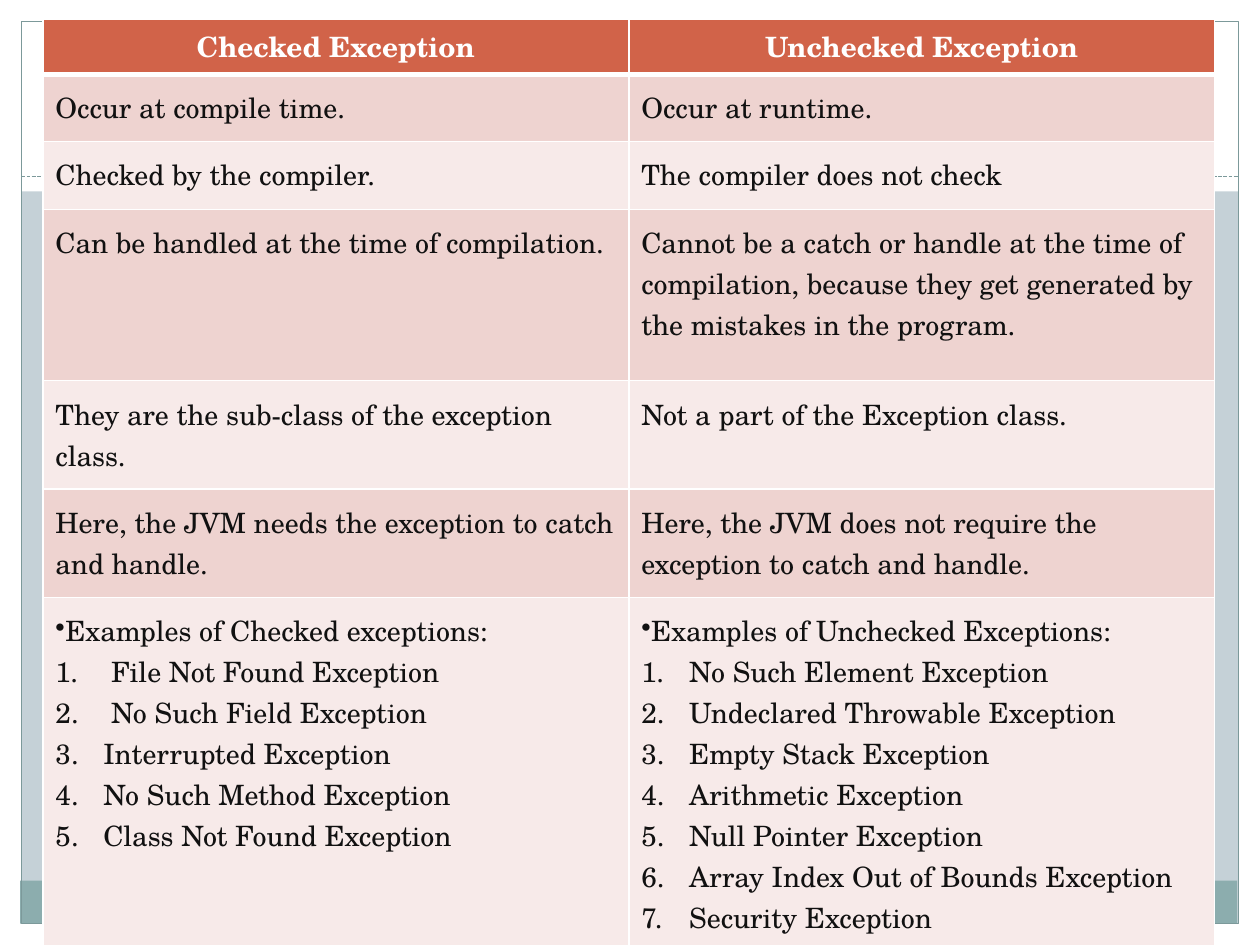
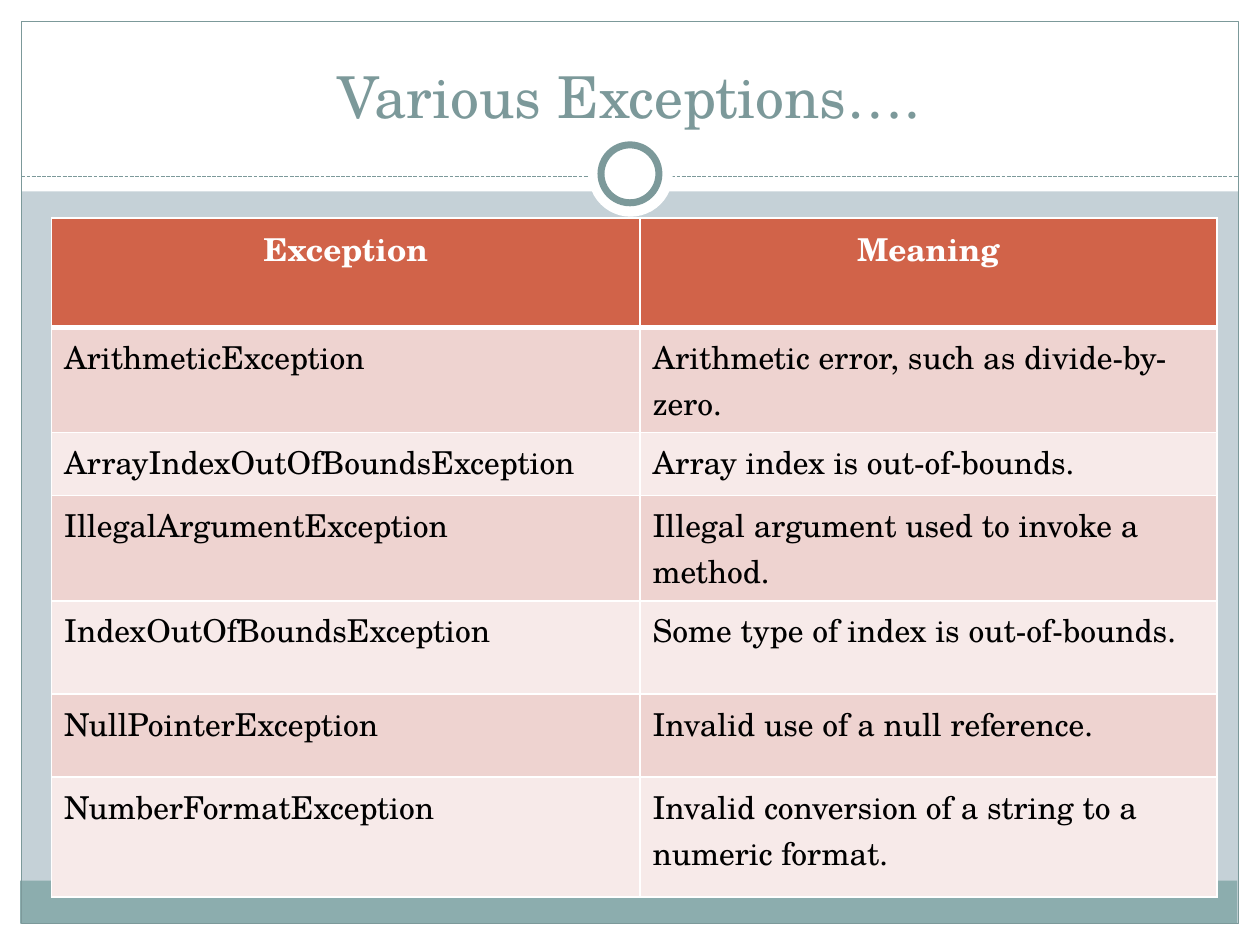
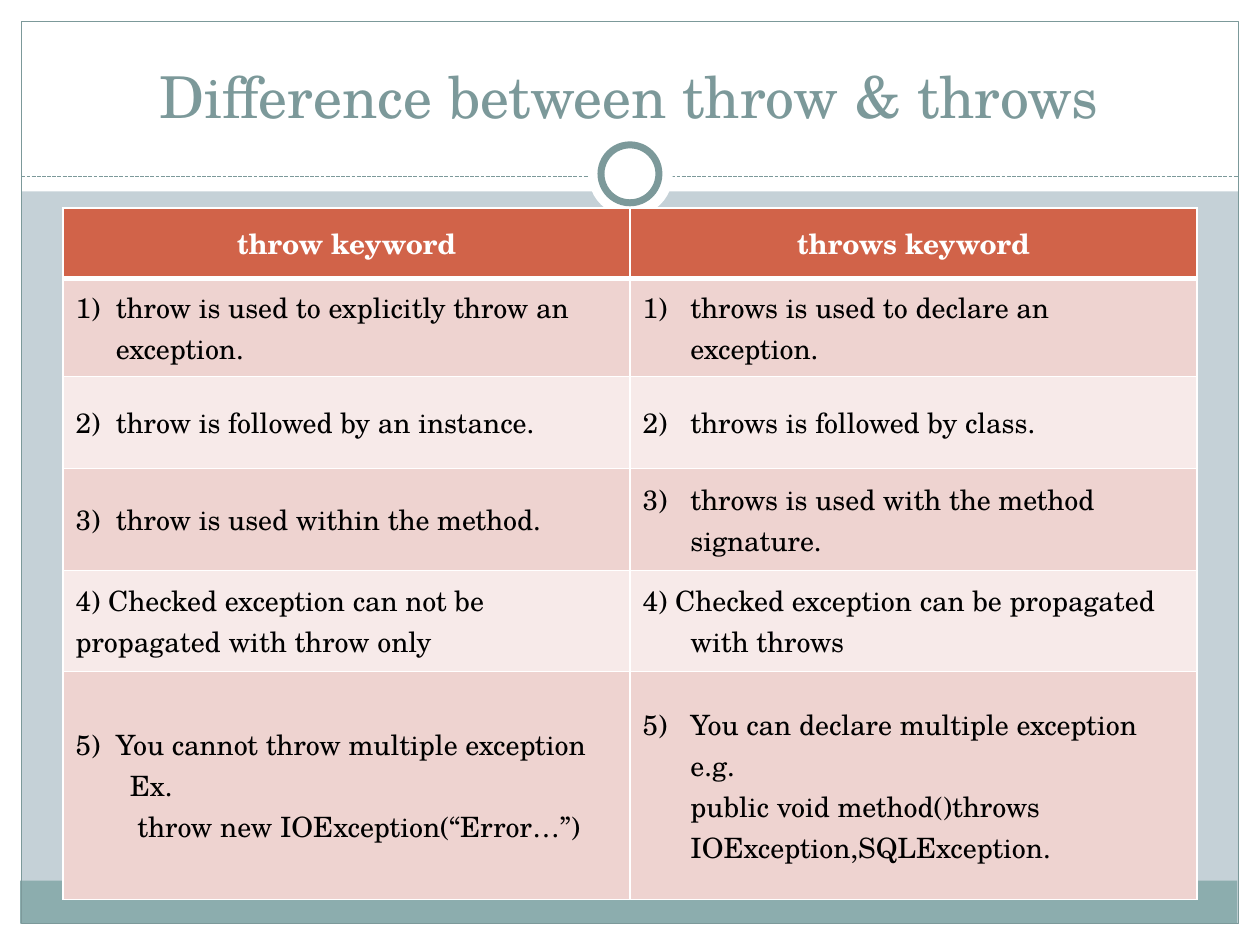
from lxml import etree
from pptx import Presentation
from pptx.dml.color import RGBColor
from pptx.enum.dml import MSO_LINE
from pptx.enum.shapes import MSO_CONNECTOR, MSO_SHAPE
from pptx.enum.text import MSO_ANCHOR, MSO_AUTO_SIZE, PP_ALIGN
from pptx.oxml.ns import qn
from pptx.util import Inches, Pt

RECT, OVAL = MSO_SHAPE.RECTANGLE, MSO_SHAPE.OVAL
STRAIGHT, SYS_DASH = MSO_CONNECTOR.STRAIGHT, MSO_LINE.SQUARE_DOT
TOP, MIDDLE, BOTTOM = MSO_ANCHOR.TOP, MSO_ANCHOR.MIDDLE, MSO_ANCHOR.BOTTOM
LEFT, CENTER = PP_ALIGN.LEFT, PP_ALIGN.CENTER
NO_FIT = MSO_AUTO_SIZE.NONE
TITLE_ONLY, BLANK = 5, 6

THEME = {
    "font": "TeX Gyre Schola",
    "title_size": 33,
    "white": "FFFFFF",
    "page": "C5D1D7",
    "band": "8CADAE",
    "accent": "7C999A",
    "header": "D16349",
    "stripes": ("EED3D0", "F7EAE9"),
}

STYLES = {
    "plain": {},
    "bullet": {"bullet": ("buChar", {"char": "•"})},
    "number": {"left": 0.38, "indent": -0.38, "bullet": ("buAutoNum", {"type": "arabicPeriod"})},
    "paren": {"left": 0.38, "indent": -0.38, "bullet": ("buAutoNum", {"type": "arabicParenR"})},
    "hang": {"left": 0.38, "indent": -0.38},
    "tight": {"left": 0.32, "indent": -0.32},
    "example": {"left": 0.43},
    "code": {"left": 0.49},
}

CHECKED = [" File Not Found Exception", " No Such Field Exception", "Interrupted Exception",
           "No Such Method Exception", "Class Not Found Exception"]
UNCHECKED = ["No Such Element Exception", "Undeclared Throwable Exception", "Empty Stack Exception",
             "Arithmetic Exception", "Null Pointer Exception",
             "Array Index Out of Bounds Exception", "Security Exception"]

SLIDES = [
    {
        "title": None, "at": (0.34, 0.15), "cols": (4.65, 4.65),
        "heights": (0.44, 0.53, 0.54, 1.36, 0.86, 0.86, 2.7),
        "size": 16, "color": "111111", "anchor": TOP, "pad": 0.1,
        "rows": [
            ("Checked Exception", "Unchecked Exception"),
            ("Occur at compile time.", "Occur at runtime."),
            ("Checked by the compiler.", "The compiler does not check"),
            ("Can be handled at the time of compilation.",
             "Cannot be a catch or handle at the time of compilation, because they get "
             "generated by the mistakes in the program."),
            ("They are the sub-class of the exception class.", "Not a part of the Exception class."),
            ("Here, the JVM needs the exception to catch and handle.",
             "Here, the JVM does not require the exception to catch and handle."),
            ([("Examples of Checked exceptions:", "bullet")] + [(t, "number") for t in CHECKED],
             [("Examples of Unchecked Exceptions:", "bullet")] + [(t, "number") for t in UNCHECKED]),
        ],
    },
    {
        "title": "Various Exceptions….", "at": (0.41, 1.73), "cols": (4.67, 4.58),
        "heights": (0.87, 0.74, 0.5, 0.74, 0.74, 0.66, 0.95),
        "size": 18, "color": "000000", "anchor": TOP, "pad": 0.05,
        "rows": [
            ("Exception", "Meaning"),
            ("ArithmeticException", "Arithmetic error, such as divide-by-zero."),
            ("ArrayIndexOutOfBoundsException", "Array index is out-of-bounds."),
            ("IllegalArgumentException", "Illegal argument used to invoke a method."),
            ("IndexOutOfBoundsException", "Some type of index is out-of-bounds."),
            ("NullPointerException", "Invalid use of a null reference."),
            ("NumberFormatException", "Invalid conversion of a string to a numeric format."),
        ],
    },
    {
        "title": "Difference between throw & throws", "at": (0.5, 1.65), "cols": (4.5, 4.5),
        "heights": (0.56, 0.78, 0.73, 0.81, 0.8, 1.81),
        "size": 16, "color": "000000", "anchor": MIDDLE, "pad": 0.05,
        "rows": [
            ("throw keyword", "throws keyword"),
            ([("1)\tthrow is used to explicitly throw an exception.", "tight")],
             [("throws is used to declare an exception.", "paren")]),
            ([("2)\tthrow is followed by an instance.", "tight")],
             [("2)\tthrows is followed by class.", "hang")]),
            ([("3)\tthrow is used within the method.", "tight")],
             [("3)\tthrows is used with the method signature.", "hang")]),
            ("4) Checked exception can not be propagated with throw only",
             [("4) Checked exception can be propagated with throws", "hang")]),
            ([("5)\tYou cannot throw multiple exception", "tight"), ("Ex.", "example"),
              ("throw new IOException(“Error…”)", "code")],
             [("5)\tYou can declare multiple exception e.g.\v"
               "public void method()throws IOException,SQLException.", "hang")]),
        ],
    },
]


def format_paragraph(p, text, size, color, bold=False, align=LEFT, style="plain"):
    p.text = text
    p.alignment = align
    font = {"name": THEME["font"], "size": Pt(size), "bold": bold}
    for r in p.runs:
        for name, value in font.items():
            setattr(r.font, name, value)
        r.font.color.rgb = RGBColor.from_string(color)
    for br in p._p.findall(qn("a:br")):
        etree.SubElement(br, qn("a:rPr"), sz=str(size * 100))
    look = STYLES[style]
    pPr = p._p.get_or_add_pPr()
    pPr.set("marL", str(Inches(look.get("left", 0))))
    pPr.set("indent", str(Inches(look.get("indent", 0))))
    tag, attrs = look.get("bullet", ("buNone", {}))
    etree.SubElement(pPr, qn("a:" + tag), attrs)


def add_border(cell, side, width):
    tcPr = cell._tc.get_or_add_tcPr()
    ln = etree.SubElement(tcPr, qn("a:ln" + side), w=str(Pt(width)))
    fill = etree.SubElement(ln, qn("a:solidFill"))
    etree.SubElement(fill, qn("a:srgbClr"), val=THEME["white"])


prs = Presentation()
prs.slide_width, prs.slide_height = Inches(10), Inches(7.5)
master = prs.slide_master
master.background.fill.solid()
master.background.fill.fore_color.rgb = RGBColor.from_string(THEME["page"])

slides = [prs.slides.add_slide(prs.slide_layouts[TITLE_ONLY if d["title"] else BLANK])
          for d in SLIDES]

FRAME = [
    (RECT, (0, 7.33, 10, 0.17), "white", None),
    (RECT, (0, 0, 10, 1.52), "white", None),
    (RECT, (0, 0, 0.17, 7.5), "white", None),
    (RECT, (9.83, 0, 0.17, 7.5), "white", None),
    (RECT, (0.16, 6.99, 9.66, 0.34), "band", None),
    (RECT, (0.17, 0.17, 9.66, 7.16), None, 0.75),
    (STRAIGHT, (0.17, 1.4, 9.83, 1.4), None, 0.75),
    (OVAL, (4.67, 1.05, 0.67, 0.67), "white", None),
    (OVAL, (4.77, 1.15, 0.46, 0.46), "white", 4),
]
for i, (kind, box, fill, width) in enumerate(FRAME):
    box = [Inches(v) for v in box]
    if kind is STRAIGHT:
        sp = slides[0].shapes.add_connector(kind, *box)
        sp.line.dash_style = SYS_DASH
    else:
        sp = slides[0].shapes.add_shape(kind, *box)
        sp.shadow.inherit = False
        if fill:
            sp.fill.solid()
            sp.fill.fore_color.rgb = RGBColor.from_string(THEME[fill])
        else:
            sp.fill.background()
    if width:
        sp.line.width = Pt(width)
        sp.line.color.rgb = RGBColor.from_string(THEME["accent"])
    else:
        sp.line.fill.background()
    if kind is STRAIGHT:
        etree.SubElement(sp.element.spPr, qn("a:effectLst"))
    sp.element.xpath(".//p:cNvPr")[0].set("id", str(100 + i))
    master.shapes.element.insert(2 + i, sp.element)

for s, d in zip(slides, SLIDES):
    if d["title"]:
        sp = s.shapes.title
        sp.left, sp.top, sp.width, sp.height = (Inches(v) for v in (0.33, 0.25, 9.33, 0.83))
        tf = sp.text_frame
        for name, value in {"word_wrap": True, "auto_size": NO_FIT, "vertical_anchor": BOTTOM}.items():
            setattr(tf, name, value)
        format_paragraph(tf.paragraphs[0], d["title"], THEME["title_size"], THEME["accent"], align=CENTER)

    box = (*d["at"], sum(d["cols"]), sum(d["heights"]))
    table = s.shapes.add_table(len(d["rows"]), len(d["cols"]), *(Inches(v) for v in box)).table
    for column, width in zip(table.columns, d["cols"]):
        column.width = Inches(width)
    for i, (row, height) in enumerate(zip(d["rows"], d["heights"])):
        table.rows[i].height = Inches(height)
        header = i == 0
        pad = Inches(0.05 if header else d["pad"])
        for j, content in enumerate(row):
            cell = table.cell(i, j)
            for side in "LRTB":
                heavy = (i, side) in ((0, "B"), (1, "T"))
                add_border(cell, side, 3 if heavy else 1)
            cell.fill.solid()
            color = THEME["header"] if header else THEME["stripes"][(i - 1) % 2]
            cell.fill.fore_color.rgb = RGBColor.from_string(color)
            layout = {"margin_left": Inches(0.1), "margin_right": Inches(0.1),
                      "margin_top": pad, "margin_bottom": pad, "vertical_anchor": d["anchor"]}
            for name, value in layout.items():
                setattr(cell, name, value)
            tf = cell.text_frame
            paragraphs = [(content, "plain")] if isinstance(content, str) else content
            for k, (text, style) in enumerate(paragraphs):
                p = tf.add_paragraph() if k else tf.paragraphs[0]
                if header:
                    format_paragraph(p, text, d["size"], THEME["white"], True, CENTER)
                else:
                    format_paragraph(p, text, d["size"], d["color"], style=style)

prs.save("out.pptx")
